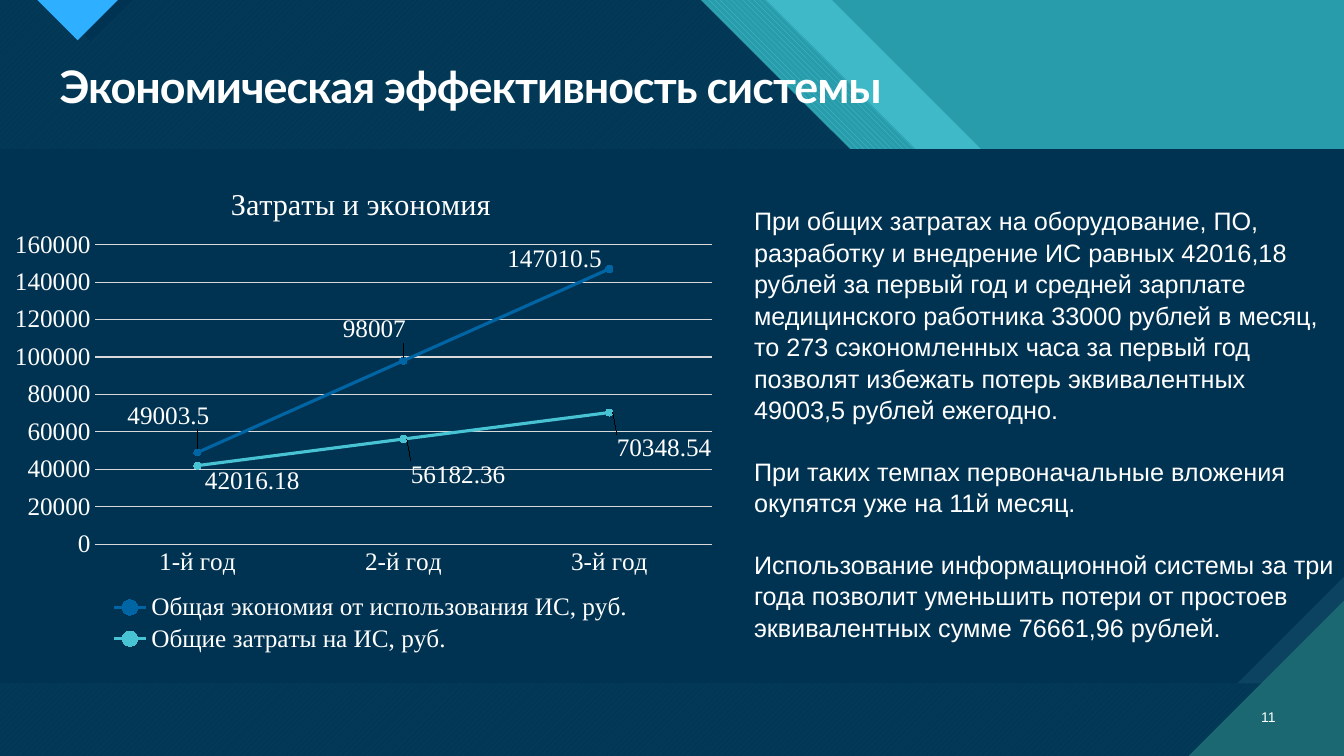
from dataclasses import dataclass
from typing import Any, Optional

from lxml import etree
from pptx import Presentation
from pptx.chart.data import CategoryChartData
from pptx.dml.color import RGBColor
from pptx.enum import chart as chart_enum, dml, shapes, text
from pptx.oxml import ns
from pptx.util import Inches, Pt

NAVY = RGBColor(0x00, 0x33, 0x52)
SLATE = RGBColor(0x0C, 0x43, 0x60)
TEAL = RGBColor(0x29, 0x9C, 0xAB)
DARK_TEAL = RGBColor(0x1B, 0x68, 0x72)
AQUA = RGBColor(0x47, 0xC3, 0xD3)
SKY = RGBColor(0x2F, 0xAF, 0xFF)
BLUE = RGBColor(0x00, 0x65, 0xA4)
GRID = RGBColor(0xD9, 0xD9, 0xD9)
WHITE = RGBColor(0xFF, 0xFF, 0xFF)

WIDTH, HEIGHT = 13.33, 7.5
SERIF = "Times New Roman"
Position = chart_enum.XL_LABEL_POSITION
Pattern = dml.MSO_PATTERN


@dataclass
class Outline:
    points: list[tuple[float, float]]
    color: RGBColor
    opacity: int = 100
    pattern: Optional[Any] = None
    back: Optional[RGBColor] = None


@dataclass
class Label:
    position: Any
    x: float
    y: float


@dataclass
class Line:
    name: str
    values: list[float]
    color: RGBColor
    labels: list[Label]


def band(edge: float, step: float) -> list[tuple[float, float]]:
    """Area left of a 45-degree edge that steps to the right at 2.97 in."""
    fall = 2.97
    corner = edge + fall + step
    return [(0, 0), (edge, 0), (edge + fall, fall), (corner, fall),
            (WIDTH, fall + WIDTH - corner), (WIDTH, HEIGHT), (0, HEIGHT)]


OUTLINES = [
    Outline(band(8.25, 1.12), AQUA, opacity=74),
    Outline(band(7.6, 1.26), AQUA, pattern=Pattern.WIDE_DOWNWARD_DIAGONAL, back=TEAL),
    Outline(band(6.95, 1.26), AQUA, pattern=Pattern.WIDE_UPWARD_DIAGONAL, back=DARK_TEAL),
    Outline(band(6.95, 1.26), NAVY, opacity=90),
    Outline([(0.48, 0), (0.9, 0.41), (1.31, 0)], NAVY),
    Outline([(0.37, 0), (0.77, 0.4), (1.17, 0)], SKY),
]
CORNER = Outline([(11.79, HEIGHT), (WIDTH, HEIGHT), (WIDTH, 5.96)], DARK_TEAL)
PANELS = [(SLATE, 0), (NAVY, 0.2)]

YEARS = ["1-й год", "2-й год", "3-й год"]
LINES = [
    Line("Общая экономия от использования ИС, руб.", [49003.5, 98007, 147010.5], BLUE,
         [Label(Position.ABOVE, -0.04, -0.03), Label(Position.ABOVE, -0.04, -0.02),
          Label(Position.LEFT, 0, -0.02)]),
    Line("Общие затраты на ИС, руб.", [42016.18, 56182.36, 70348.54], AQUA,
         [Label(Position.RIGHT, 0, 0.03), Label(Position.RIGHT, 0, 0.07),
          Label(Position.RIGHT, 0, 0.07)]),
]
BODY = [
    "При общих затратах на оборудование, ПО, разработку и внедрение ИС равных 42016,18 "
    "рублей за первый год и средней зарплате медицинского работника 33000 рублей в месяц, "
    "то 273 сэкономленных часа за первый год позволят избежать потерь эквивалентных "
    "49003,5 рублей ежегодно.",
    "При таких темпах первоначальные вложения окупятся уже на 11й месяц.",
    "Использование информационной системы за три года позволит уменьшить потери от "
    "простоев эквивалентных сумме 76661,96 рублей.",
]


def set_font(font: Any, name: str, size: float, **extra: Any) -> None:
    for key, value in {"name": name, "size": Pt(size), **extra}.items():
        setattr(font, key, value)
    font.color.rgb = WHITE


def place(shape: Any, left: float, top: float, width: float, height: float) -> None:
    box = {"left": left, "top": top, "width": width, "height": height}
    for key, value in box.items():
        setattr(shape, key, Inches(value))


def paint(shape: Any, color: RGBColor) -> None:
    shape.shadow.inherit = False
    shape.line.fill.background()
    shape.fill.solid()
    shape.fill.fore_color.rgb = color


def draw_outline(slide: Any, outline: Outline) -> None:
    points = [(Inches(x), Inches(y)) for x, y in outline.points]
    builder = slide.shapes.build_freeform(*points[0])
    builder.add_line_segments(points[1:], close=True)
    shape = builder.convert_to_shape()
    paint(shape, outline.color)
    if outline.pattern is not None:
        shape.fill.patterned()
        shape.fill.pattern = outline.pattern
        shape.fill.fore_color.rgb = outline.color
        shape.fill.back_color.rgb = outline.back
    elif outline.opacity < 100:
        color = shape.element.spPr.find(ns.qn("a:solidFill"))[0]
        etree.SubElement(color, ns.qn("a:alpha")).set("val", str(outline.opacity * 1000))


def draw_panel(slide: Any, color: RGBColor, snip: float) -> None:
    panel = slide.shapes.add_shape(shapes.MSO_SHAPE.SNIP_1_RECTANGLE, 0, 0, 0, 0)
    place(panel, 0, 1.48, WIDTH, 5.3)
    panel.adjustments[0] = snip
    panel.element.spPr.xfrm.set("flipV", "1")
    paint(panel, color)


def set_layout(element: Any, index: int, **values: Any) -> None:
    for old in element.findall(ns.qn("c:layout")):
        element.remove(old)
    layout = etree.Element(ns.qn("c:layout"))
    manual = etree.SubElement(layout, ns.qn("c:manualLayout"))
    for key, value in values.items():
        etree.SubElement(manual, ns.qn(f"c:{key}")).set("val", str(value))
    element.insert(index, layout)


def draw_chart(slide: Any) -> None:
    data = CategoryChartData()
    data.categories = YEARS
    for line in LINES:
        data.add_series(line.name, line.values)
    chart = slide.shapes.add_chart(chart_enum.XL_CHART_TYPE.LINE_MARKERS, 0, Inches(1.52),
                                   Inches(7.21), Inches(5.04), data).chart
    set_font(chart.font, SERIF, 18)
    edge = {"xMode": "edge", "yMode": "edge"}

    # Title, legend and plot area
    frame = chart.chart_title.text_frame
    frame.text = "Затраты и экономия"
    set_font(frame.paragraphs[0].runs[0].font, SERIF, 21.6, bold=False)
    set_layout(chart.chart_title._element, 1, **edge, x=0.31, y=0.05)
    chart.has_legend = True
    chart.legend.position = chart_enum.XL_LEGEND_POSITION.BOTTOM
    chart.legend.include_in_layout = False
    set_font(chart.legend.font, SERIF, 18)
    set_layout(chart.legend._element, 1, **edge, x=0.14, y=0.86, w=0.74, h=0.13)
    set_layout(chart._chartSpace.chart.plotArea, 0, layoutTarget="inner", **edge,
               x=0.13, y=0.18, w=0.85, h=0.59)

    # Axes
    for axis in (chart.category_axis, chart.value_axis):
        axis.major_tick_mark = axis.minor_tick_mark = chart_enum.XL_TICK_MARK.NONE
        set_font(axis.tick_labels.font, SERIF, 18)
    chart.value_axis.format.line.fill.background()
    for rule in (chart.category_axis.format.line, chart.value_axis.major_gridlines.format.line):
        rule.color.rgb, rule.width = GRID, Pt(0.75)

    # Lines with their labels
    for series, line in zip(chart.plots[0].series, LINES):
        series.smooth = False
        series.format.line.color.rgb = line.color
        series.format.line.width = Pt(2.25)
        series.marker.style, series.marker.size = chart_enum.XL_MARKER_STYLE.CIRCLE, 5
        series.marker.format.fill.solid()
        series.marker.format.fill.fore_color.rgb = line.color
        series.marker.format.line.color.rgb = line.color
        series.data_labels.show_value = True
        set_font(series.data_labels.font, SERIF, 18)
        for index, label in enumerate(line.labels):
            data_label = series.points[index].data_label
            data_label.position = label.position
            set_font(data_label.font, SERIF, 18)
            set_layout(series.data_labels._element.findall(ns.qn("c:dLbl"))[index], 1,
                       x=label.x, y=label.y)


def add_text(slide: Any, box: tuple[float, float, float, float], lines: list[str],
             size: float, anchor: Any, **paragraph_format: Any) -> None:
    shape = slide.shapes.add_textbox(0, 0, 0, 0)
    place(shape, *box)
    frame = shape.text_frame
    frame.word_wrap = True
    frame.vertical_anchor = anchor
    frame.text = "\n".join(lines)
    for paragraph in frame.paragraphs:
        set_font(paragraph.runs[0].font, "Arial", size)
        for key, value in paragraph_format.items():
            setattr(paragraph, key, value)


def draw_title(slide: Any) -> None:
    title = slide.shapes.title
    place(title, 0.49, 0.59, 12.26, 0.59)
    frame = title.text_frame
    frame.text = "Экономическая эффективность системы"
    frame.vertical_anchor = text.MSO_ANCHOR.TOP
    frame.auto_size = text.MSO_AUTO_SIZE.SHAPE_TO_FIT_TEXT
    paragraph = frame.paragraphs[0]
    paragraph.alignment = text.PP_ALIGN.LEFT
    paragraph.line_spacing = 0.9
    font = paragraph.runs[0].font
    set_font(font, "Lato", 32, bold=True)
    font._element.set("spc", "-70")
    slide.shapes._spTree.append(title.element)


def main() -> None:
    presentation = Presentation()
    presentation.slide_width, presentation.slide_height = Inches(WIDTH), Inches(HEIGHT)
    slide = presentation.slides.add_slide(presentation.slide_layouts[5])

    # Backdrop
    slide.background.fill.solid()
    slide.background.fill.fore_color.rgb = TEAL
    for outline in OUTLINES:
        draw_outline(slide, outline)
    for color, snip in PANELS:
        draw_panel(slide, color, snip)
    draw_outline(slide, CORNER)

    # Content
    draw_title(slide)
    add_text(slide, (12.31, 6.91, 0.44, 0.4), ["11"], 10, text.MSO_ANCHOR.MIDDLE,
             alignment=text.PP_ALIGN.RIGHT)
    draw_chart(slide)
    add_text(slide, (7.38, 1.98, 5.95, 4.64), BODY, 18, text.MSO_ANCHOR.TOP,
             line_spacing=1.04, space_after=Pt(21.6))
    presentation.save("out.pptx")


if __name__ == "__main__":
    main()
